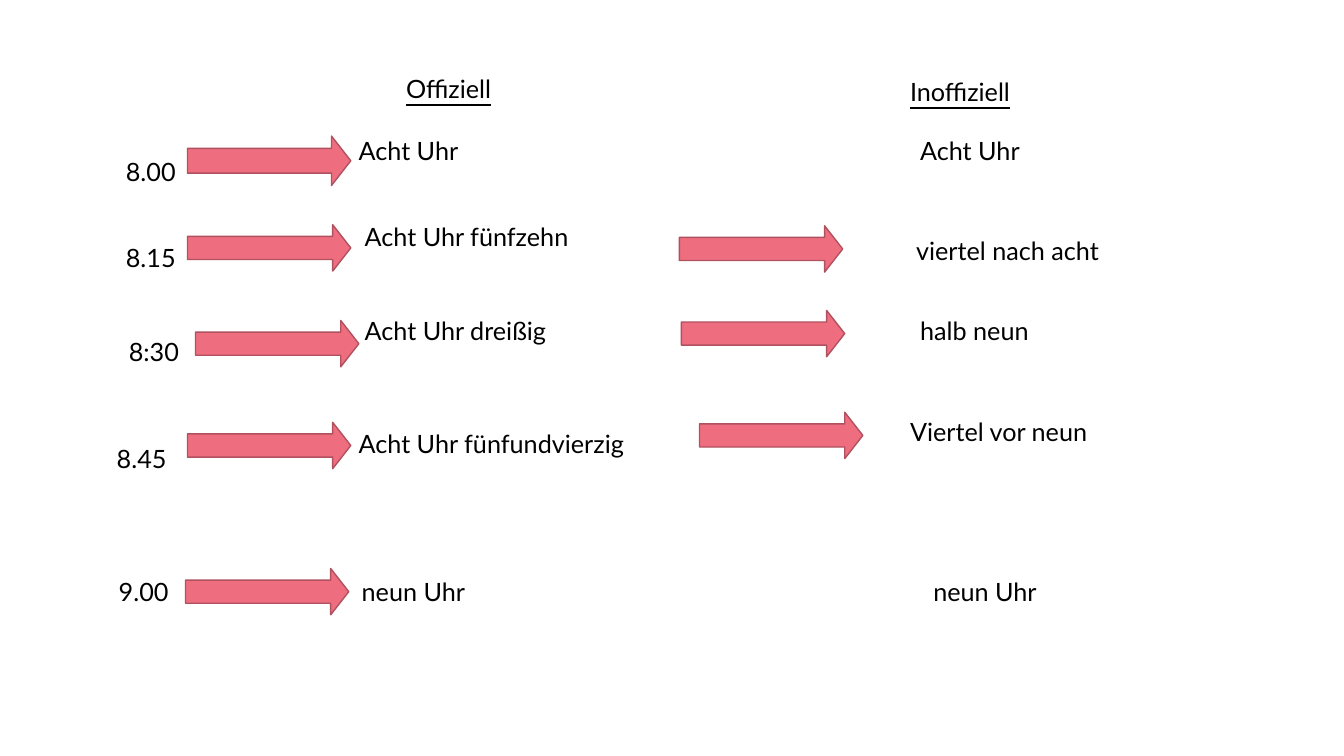
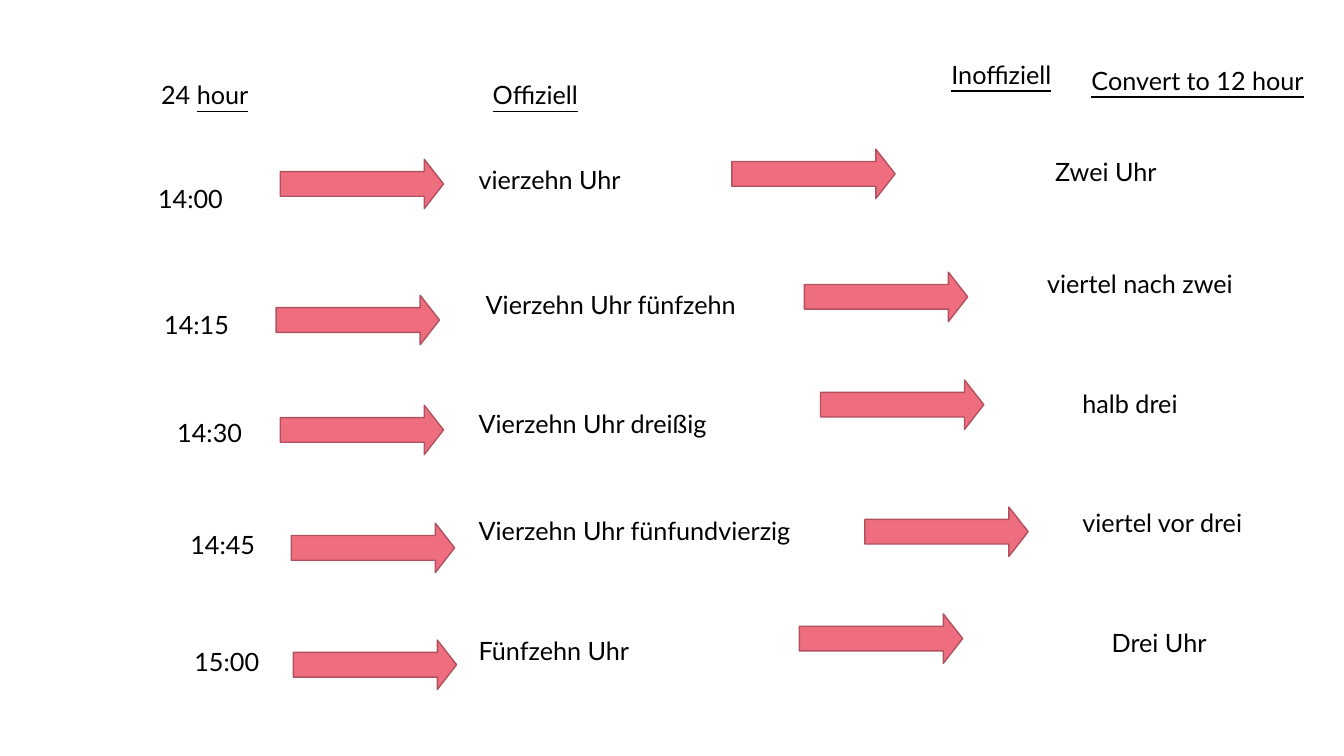
from dataclasses import dataclass

from pptx import Presentation
from pptx.dml.color import RGBColor
from pptx.enum.shapes import MSO_SHAPE
from pptx.enum.text import MSO_AUTO_SIZE, PP_ALIGN
from pptx.slide import Slide
from pptx.util import Inches, Pt

SLIDE_WIDTH = Inches(13.333)
SLIDE_HEIGHT = Inches(7.5)
COLUMN = SLIDE_WIDTH / 40
ROW = SLIDE_HEIGHT / 30

INK = RGBColor(0x00, 0x00, 0x00)
PAPER = RGBColor(0xFF, 0xFF, 0xFF)
ROSE = RGBColor(0xEE, 0x6E, 0x80)
DARK_ROSE = RGBColor(0xB0, 0x51, 0x5F)

FONT = "Lato"
TEXT_SIZE = Pt(18)
TEXT_ROWS = 1.6
ARROW_COLUMNS = 4.86
FULL = 1.96
SLIM = 1.84


@dataclass(frozen=True)
class Phrase:
    words: str
    column: float
    row: float
    columns: float


@dataclass(frozen=True)
class Heading(Phrase):
    plain_start: str = ""


@dataclass(frozen=True)
class Arrow:
    column: float
    row: float
    rows: float = FULL


@dataclass(frozen=True)
class ClockTime:
    digits: Phrase
    official: Phrase
    unofficial: Phrase
    arrows: tuple[Arrow, ...]


@dataclass(frozen=True)
class Lesson:
    headings: tuple[Heading, ...]
    times: tuple[ClockTime, ...]


TWELVE_HOUR = Lesson(
    headings=(
        Heading("Offiziell", 11.79, 2.72, 4.77),
        Heading("Inoffiziell", 26.79, 2.84, 9.51),
    ),
    times=(
        ClockTime(
            Phrase("8.00", 3.45, 6, 5.73),
            Phrase("Acht Uhr", 10.38, 5.16, 6.63),
            Phrase("Acht Uhr", 27.09, 5.16, 5.49),
            (Arrow(5.58, 5.4),),
        ),
        ClockTime(
            Phrase("8.15", 3.45, 9.4, 4.74),
            Phrase("Acht Uhr fünfzehn", 10.56, 8.6, 8.01),
            Phrase("viertel nach acht", 26.97, 9.16, 7.14),
            (Arrow(5.58, 8.92, SLIM), Arrow(20.22, 8.96, SLIM)),
        ),
        ClockTime(
            Phrase("8:30", 3.54, 13.16, 2.88),
            Phrase("Acht Uhr dreißig", 10.56, 12.32, 8.01),
            Phrase("halb neun", 27.09, 12.32, 4.92),
            (Arrow(5.82, 12.72, SLIM), Arrow(20.28, 12.32, SLIM)),
        ),
        ClockTime(
            Phrase("8.45", 3.18, 17.4, 2.61),
            Phrase("Acht Uhr fünfundvierzig", 10.38, 16.8, 8.85),
            Phrase("Viertel vor neun", 26.79, 16.32, 7.77),
            (Arrow(5.58, 16.76, SLIM), Arrow(20.82, 16.36, SLIM)),
        ),
        ClockTime(
            Phrase("9.00", 3.24, 22.68, 3.18),
            Phrase("neun Uhr", 10.47, 22.68, 3.84),
            Phrase("neun Uhr", 27.48, 22.68, 4.14),
            (Arrow(5.52, 22.56, SLIM),),
        ),
    ),
)

TWENTY_FOUR_HOUR = Lesson(
    headings=(
        Heading("hour", 4.5, 2.96, 5.73, plain_start="24 "),
        Heading("Offiziell", 14.37, 2.96, 4.77),
        Heading("Inoffiziell", 28.02, 2.16, 4.77),
        Heading("Convert to 12 hour", 32.19, 2.4, 7.29),
    ),
    times=(
        ClockTime(
            Phrase("14:00", 4.41, 7.08, 4.32),
            Phrase("vierzehn Uhr", 13.95, 6.32, 5.7),
            Phrase("Zwei Uhr", 31.11, 6, 5.85),
            (Arrow(8.34, 6.32), Arrow(21.78, 5.92)),
        ),
        ClockTime(
            Phrase("14:15", 4.59, 12.08, 5.73),
            Phrase("Vierzehn Uhr fünfzehn", 14.16, 11.28, 8.7),
            Phrase("viertel nach zwei", 30.87, 10.44, 7.71),
            (Arrow(8.22, 11.72), Arrow(23.94, 10.8)),
        ),
        ClockTime(
            Phrase("14:30", 4.98, 16.36, 3.36),
            Phrase("Vierzehn Uhr dreißig", 13.95, 16, 9.15),
            Phrase("halb drei", 31.92, 15.2, 5.04),
            (Arrow(8.34, 16.08), Arrow(24.42, 15.08)),
        ),
        ClockTime(
            Phrase("14:45", 5.37, 20.8, 5.73),
            Phrase("Vierzehn Uhr fünfundvierzig", 13.95, 20.24, 10.59),
            Phrase("viertel vor drei", 31.92, 19.92, 6.66),
            (Arrow(8.67, 20.76), Arrow(25.74, 20.12)),
        ),
        ClockTime(
            Phrase("15:00", 5.49, 25.44, 5.73),
            Phrase("Fünfzehn Uhr", 13.95, 25, 8.19),
            Phrase("Drei Uhr", 32.79, 24.68, 5.67),
            (Arrow(8.73, 25.4), Arrow(23.79, 24.36)),
        ),
    ),
)


def grid_box(column: float, row: float, columns: float, rows: float) -> tuple[int, ...]:
    return (
        round(column * COLUMN),
        round(row * ROW),
        round(columns * COLUMN),
        round(rows * ROW),
    )


def draw_phrase(slide: Slide, phrase: Phrase) -> None:
    box = grid_box(phrase.column, phrase.row, phrase.columns, TEXT_ROWS)
    frame = slide.shapes.add_textbox(*box).text_frame
    frame.word_wrap = True
    frame.auto_size = MSO_AUTO_SIZE.SHAPE_TO_FIT_TEXT
    paragraph = frame.paragraphs[0]
    paragraph.alignment = PP_ALIGN.LEFT
    is_heading = isinstance(phrase, Heading)
    if is_heading and phrase.plain_start:
        paragraph.text = phrase.plain_start
        paragraph.add_run().text = phrase.words
    else:
        paragraph.text = phrase.words
    for run in paragraph.runs:
        run.font.name = FONT
        run.font.size = TEXT_SIZE
        run.font.color.rgb = INK
    if is_heading:
        paragraph.runs[-1].font.underline = True


def draw_arrow(slide: Slide, arrow: Arrow) -> None:
    box = grid_box(arrow.column, arrow.row, ARROW_COLUMNS, arrow.rows)
    pointer = slide.shapes.add_shape(MSO_SHAPE.RIGHT_ARROW, *box)
    pointer.adjustments[0] = 0.5
    pointer.adjustments[1] = 0.39
    pointer.shadow.inherit = False
    pointer.fill.solid()
    pointer.fill.fore_color.rgb = ROSE
    pointer.line.color.rgb = DARK_ROSE
    pointer.line.width = Pt(1)


def draw_lesson(slide: Slide, lesson: Lesson) -> None:
    for heading in lesson.headings:
        draw_phrase(slide, heading)
    for time in lesson.times:
        for phrase in (time.digits, time.official, time.unofficial):
            draw_phrase(slide, phrase)
        for arrow in time.arrows:
            draw_arrow(slide, arrow)


def main() -> None:
    deck = Presentation()
    deck.slide_width = SLIDE_WIDTH
    deck.slide_height = SLIDE_HEIGHT
    background = deck.slide_master.background.fill
    background.solid()
    background.fore_color.rgb = PAPER
    blank_layout = deck.slide_layouts.get_by_name("Blank")
    for lesson in (TWELVE_HOUR, TWENTY_FOUR_HOUR):
        draw_lesson(deck.slides.add_slide(blank_layout), lesson)
    deck.save("out.pptx")


main()
